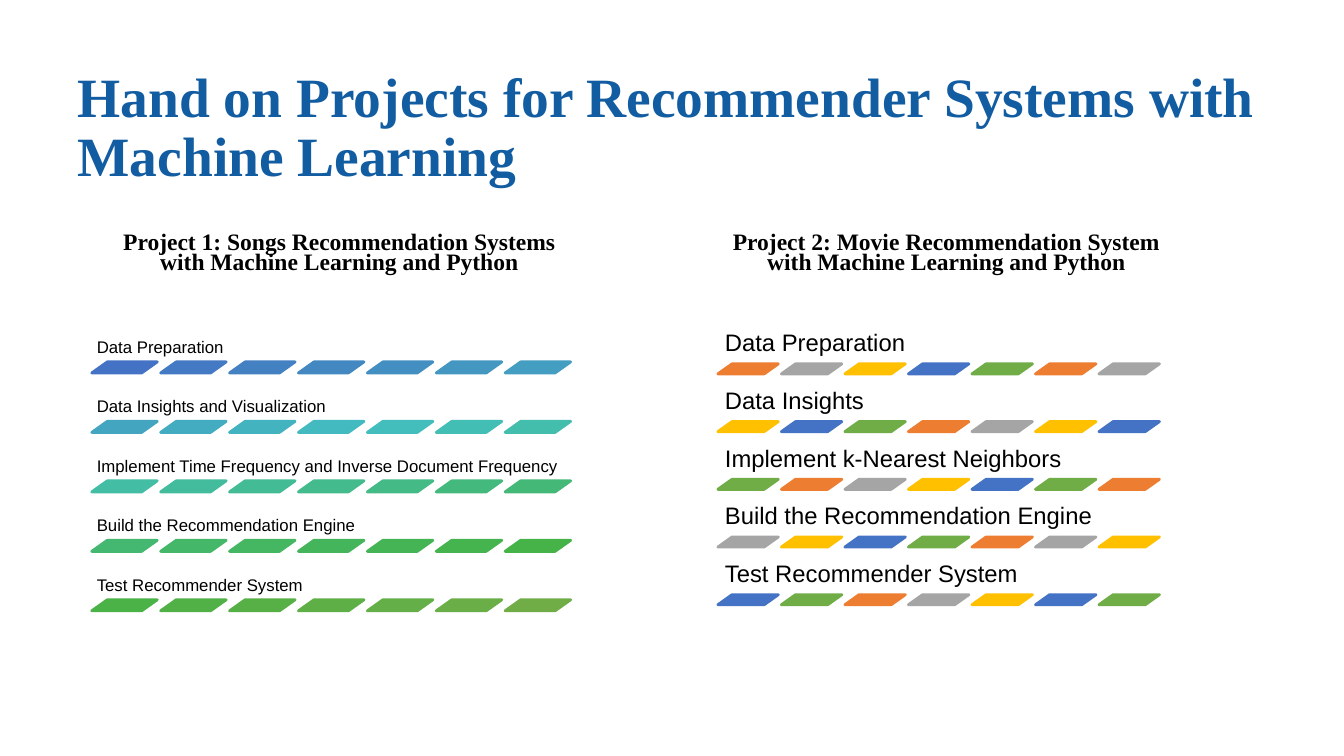
import colorsys
from dataclasses import dataclass
from itertools import cycle, islice

from pptx import Presentation
from pptx import util as u
from pptx.dml.color import RGBColor
from pptx.enum import shapes, text
from pptx.shapes.group import GroupShape
from pptx.slide import Slide
from pptx.text.text import TextFrame

TITLE_BLUE = RGBColor(0x12, 0x5D, 0xA2)
BLACK = RGBColor(0, 0, 0)
BLUE = RGBColor(0x44, 0x72, 0xC4)
GREEN = RGBColor(0x70, 0xAD, 0x47)
ORANGE = RGBColor(0xED, 0x7D, 0x31)
GRAY = RGBColor(0xA5, 0xA5, 0xA5)
YELLOW = RGBColor(0xFF, 0xC0, 0x00)

SERIF, SANS = "Times New Roman", "Arial"
BARS_PER_STEP = 7
STEP_COUNT = 5
BAR_COUNT = BARS_PER_STEP * STEP_COUNT
BAR_SLANT = 1.408


@dataclass(frozen=True)
class Project:
    """A heading and its steps; lengths are in inches, text size in points."""
    heading: str
    heading_left: float
    steps: tuple[str, ...]
    colors: list[RGBColor]
    text_size: float
    inset: float
    label_width: float
    label_height: float
    first_left: float
    last_left: float
    first_top: float
    last_top: float
    bar_width: float
    bar_height: float


def blend(start: RGBColor, end: RGBColor, count: int) -> list[RGBColor]:
    """Return evenly spaced colours between two, by hue, lightness and saturation."""
    first, last = (colorsys.rgb_to_hls(*(c / 255 for c in color))
                   for color in (start, end))
    blended = []
    for index in range(count):
        share = index / (count - 1)
        hls = (a + (b - a) * share for a, b in zip(first, last))
        blended.append(RGBColor(*(round(c * 255) for c in colorsys.hls_to_rgb(*hls))))
    return blended


PROJECTS = (
    Project(
        "Project 1: Songs Recommendation Systems with Machine Learning and Python",
        0.92,
        ("Data Preparation", "Data Insights and Visualization",
         "Implement Time Frequency and Inverse Document Frequency",
         "Build the Recommendation Engine", "Test Recommender System"),
        blend(BLUE, GREEN, BAR_COUNT),
        text_size=12, inset=0.05, label_width=4.85, label_height=0.44,
        first_left=0.91, last_left=5.01, first_top=3.59, last_top=5.95,
        bar_width=0.65, bar_height=0.11,
    ),
    Project(
        "Project 2: Movie Recommendation System with Machine Learning and Python",
        6.94,
        ("Data Preparation", "Data Insights", "Implement k-Nearest Neighbors",
         "Build the Recommendation Engine", "Test Recommender System"),
        list(islice(cycle((ORANGE, GRAY, YELLOW, BLUE, GREEN)), BAR_COUNT)),
        text_size=17, inset=0.07, label_width=4.47, label_height=0.41,
        first_left=7.12, last_left=10.9, first_top=3.61, last_top=5.9,
        bar_width=0.6, bar_height=0.1,
    ),
)


def write(frame: TextFrame, words: str, font: str, size: float, color: RGBColor,
          anchor: text.MSO_ANCHOR, align: text.PP_ALIGN, spacing: float,
          insets: tuple[float, float], bold: bool = False) -> None:
    """Fill a text frame; insets are horizontal and vertical, in inches."""
    frame.text = words
    frame.word_wrap = True
    frame.auto_size = text.MSO_AUTO_SIZE.NONE
    frame.vertical_anchor = anchor
    frame.margin_left = frame.margin_right = u.Inches(insets[0])
    frame.margin_top = frame.margin_bottom = u.Inches(insets[1])
    paragraph = frame.paragraphs[0]
    paragraph.alignment = align
    paragraph.line_spacing = spacing
    paragraph.font.name = font
    paragraph.font.size = u.Pt(size)
    paragraph.font.bold = bold
    paragraph.font.color.rgb = color


def add_title(slide: Slide) -> None:
    title = slide.shapes.title
    title.left, title.top = u.Inches(0.67), u.Inches(0.57)
    title.width, title.height = u.Inches(12), u.Inches(1.42)
    write(title.text_frame,
          "Hand on Projects for Recommender Systems with Machine Learning",
          SERIF, 39.6, TITLE_BLUE, text.MSO_ANCHOR.MIDDLE, text.PP_ALIGN.LEFT,
          0.9, (0.1, 0.05), bold=True)


def add_heading(slide: Slide, project: Project) -> None:
    box = slide.shapes.add_textbox(u.Inches(project.heading_left), u.Inches(2.28),
                                   u.Inches(4.83), u.Inches(0.66))
    write(box.text_frame, project.heading, SERIF, 16.8, BLACK,
          text.MSO_ANCHOR.TOP, text.PP_ALIGN.CENTER, 0.7, (0.1, 0.05), bold=True)
    paragraph = box.text_frame.paragraphs[0]
    paragraph.space_before = u.Pt(10)
    paragraph._p.get_or_add_pPr().set("marL", str(u.Inches(0.06)))


def add_bar(group: GroupShape, project: Project, left: float, top: float,
            color: RGBColor) -> None:
    bar = group.shapes.add_shape(
        shapes.MSO_SHAPE.PARALLELOGRAM, u.Inches(left), u.Inches(top),
        u.Inches(project.bar_width), u.Inches(project.bar_height))
    bar.adjustments[0] = BAR_SLANT
    bar.shadow.inherit = False
    bar.fill.solid()
    bar.fill.fore_color.rgb = color
    bar.line.color.rgb = color
    bar.line.width = u.Pt(2)


def add_steps(slide: Slide, project: Project) -> None:
    group = slide.shapes.add_group_shape()
    row_pitch = (project.last_top - project.first_top) / (STEP_COUNT - 1)
    bar_pitch = (project.last_left - project.first_left) / (BARS_PER_STEP - 1)
    for row, step in enumerate(project.steps):
        top = project.first_top + row * row_pitch
        label = group.shapes.add_textbox(
            u.Inches(project.first_left), u.Inches(top - project.label_height),
            u.Inches(project.label_width), u.Inches(project.label_height))
        write(label.text_frame, step, SANS, project.text_size, BLACK,
              text.MSO_ANCHOR.BOTTOM, text.PP_ALIGN.LEFT, 0.9,
              (project.inset, project.inset))
        for column in range(BARS_PER_STEP):
            add_bar(group, project, project.first_left + column * bar_pitch, top,
                    project.colors[row * BARS_PER_STEP + column])


def main() -> None:
    presentation = Presentation()
    presentation.slide_width = u.Inches(13.33)
    presentation.slide_height = u.Inches(7.5)
    slide = presentation.slides.add_slide(presentation.slide_layouts.get_by_name("Title Only"))
    add_title(slide)
    for project in PROJECTS:
        add_steps(slide, project)
        add_heading(slide, project)
    presentation.save("out.pptx")


if __name__ == "__main__":
    main()
